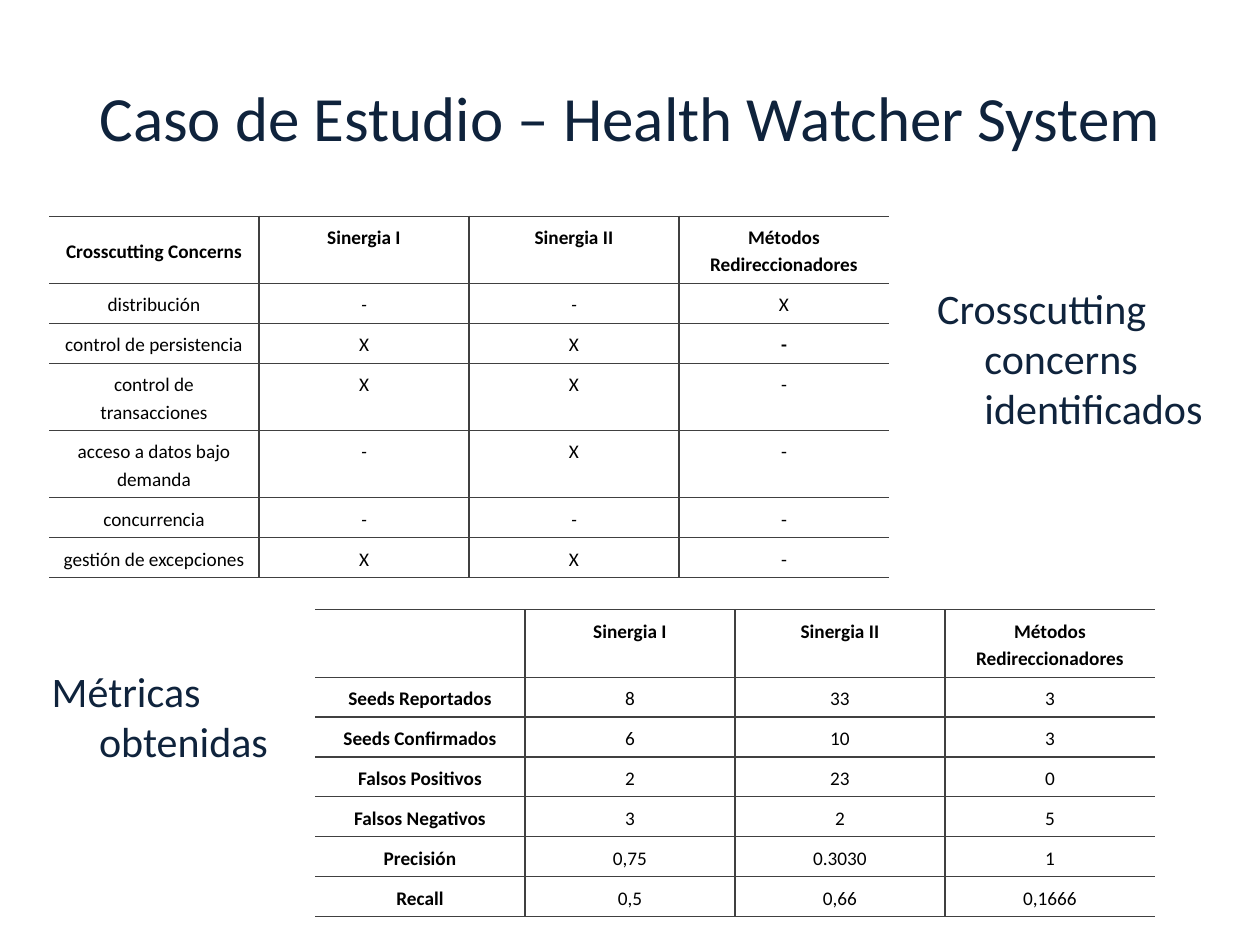
from dataclasses import dataclass

from lxml.etree import SubElement
from pptx import Presentation
from pptx.dml.color import RGBColor
from pptx.enum.text import MSO_ANCHOR, PP_ALIGN
from pptx.oxml.ns import qn
from pptx.util import Pt

NAVY = "0F233C"
BLACK = "000000"
BORDER = "404040"
COLUMN_WIDTH = 120
SINGLE_ROW = 22.5
DOUBLE_ROW = 37.6
HEADINGS = ("Sinergia I", "Sinergia II", "Métodos Redireccionadores")


@dataclass
class Label:
    text: str
    left: float
    top: float
    width: float
    height: float
    size: float = 24
    indent: float = 27
    align: PP_ALIGN = PP_ALIGN.LEFT
    anchor: MSO_ANCHOR = MSO_ANCHOR.TOP


@dataclass
class Grid:
    left: float
    top: float
    rows: list[tuple[str, ...]]
    double_rows: set[int]
    bold_cells: set[tuple[int, int]]
    italic_cells: set[tuple[int, int]]


CONCERN_ROWS = [
    ("Crosscutting Concerns", *HEADINGS),
    ("distribución", "-", "-", "X"),
    ("control de persistencia", "X", "X", "-"),
    ("control de transacciones", "X", "X", "-"),
    ("acceso a datos bajo demanda", "-", "X", "-"),
    ("concurrencia", "-", "-", "-"),
    ("gestión de excepciones", "X", "X", "-"),
]
METRIC_ROWS = [
    ("", *HEADINGS),
    ("Seeds Reportados", "8", "33", "3"),
    ("Seeds Confirmados", "6", "10", "3"),
    ("Falsos Positivos", "2", "23", "0"),
    ("Falsos Negativos", "3", "2", "5"),
    ("Precisión", "0,75", "0.3030", "1"),
    ("Recall", "0,5", "0,66", "0,1666"),
]
HEADER_CELLS = {(0, column) for column in range(4)}

LABELS = [
    Label("Caso de Estudio – Health Watcher System", 0, 21.6, 720, 90,
          size=36, indent=0, align=PP_ALIGN.CENTER, anchor=MSO_ANCHOR.MIDDLE),
    Label("Métricas obtenidas", 22.5, 376.6, 152, 67.7),
    Label("Crosscutting concerns identificados", 528.5, 157.7, 191.5, 112.3),
]
GRIDS = [
    Grid(28, 123.6, CONCERN_ROWS, {0, 3, 4}, HEADER_CELLS | {(2, 3)},
         {(1, 1), (1, 2), (4, 1), (5, 1), (5, 2)}),
    Grid(180, 348.5, METRIC_ROWS, {0},
         HEADER_CELLS | {(row, 0) for row in range(1, 7)}, set()),
]


def colour(value: str) -> RGBColor:
    return RGBColor.from_string(value)


def apply(target, values: dict) -> None:
    for name, value in values.items():
        setattr(target, name, value)


def write(para, text: str, size: float, tint: str, **style) -> None:
    span = para.add_run()
    span.text = text
    apply(span.font, {"name": "Calibri", "size": Pt(size), **style})
    span.font.color.rgb = colour(tint)


def draw_label(page, label: Label) -> None:
    box = page.shapes.add_textbox(Pt(label.left), Pt(label.top),
                                  Pt(label.width), Pt(label.height))
    apply(box.text_frame, {"word_wrap": True, "vertical_anchor": label.anchor})
    para = box.text_frame.paragraphs[0]
    para.alignment = label.align
    if label.indent:
        properties = para._p.get_or_add_pPr()
        properties.set("marL", str(Pt(label.indent)))
        properties.set("indent", str(-Pt(label.indent)))
    write(para, label.text, label.size, NAVY)


def draw_borders(cell, hidden: set[str]) -> None:
    properties = cell._tc.get_or_add_tcPr()
    for side in ("lnL", "lnR", "lnT", "lnB"):
        line = SubElement(properties, qn(f"a:{side}"), w=str(Pt(0.75)))
        if side in hidden:
            SubElement(line, qn("a:noFill"))
        else:
            fill = SubElement(line, qn("a:solidFill"))
            SubElement(fill, qn("a:srgbClr"), val=BORDER)


def draw_grid(page, grid: Grid) -> None:
    heights = [DOUBLE_ROW if row in grid.double_rows else SINGLE_ROW
               for row in range(len(grid.rows))]
    columns = len(grid.rows[0])
    table = page.shapes.add_table(
        len(grid.rows), columns, Pt(grid.left), Pt(grid.top),
        Pt(COLUMN_WIDTH * columns), Pt(sum(heights))).table
    apply(table, {"first_row": False, "horz_banding": False})
    for column in table.columns:
        column.width = Pt(COLUMN_WIDTH)
    for row, texts in enumerate(grid.rows):
        table.rows[row].height = Pt(heights[row])
        for column, text in enumerate(texts):
            cell = table.cell(row, column)
            apply(cell, {
                "margin_left": Pt(5.4), "margin_right": Pt(5.4),
                "margin_top": Pt(3.6), "margin_bottom": Pt(3.6),
                "vertical_anchor": MSO_ANCHOR.TOP if column else MSO_ANCHOR.MIDDLE,
            })
            draw_borders(cell, {0: {"lnL"}, columns - 1: {"lnR"}}.get(column, set()))
            cell.fill.background()
            if text:
                para = cell.text_frame.paragraphs[0]
                apply(para, {"alignment": PP_ALIGN.CENTER, "line_spacing": 1.15})
                write(para, text, 11, BLACK,
                      bold=(row, column) in grid.bold_cells,
                      italic=(row, column) in grid.italic_cells)


def main() -> None:
    deck = Presentation()
    apply(deck, {"slide_width": Pt(720), "slide_height": Pt(540)})
    page = deck.slides.add_slide(deck.slide_layouts[6])
    for grid in GRIDS:
        draw_grid(page, grid)
    for label in LABELS:
        draw_label(page, label)
    deck.save("out.pptx")


if __name__ == "__main__":
    main()
